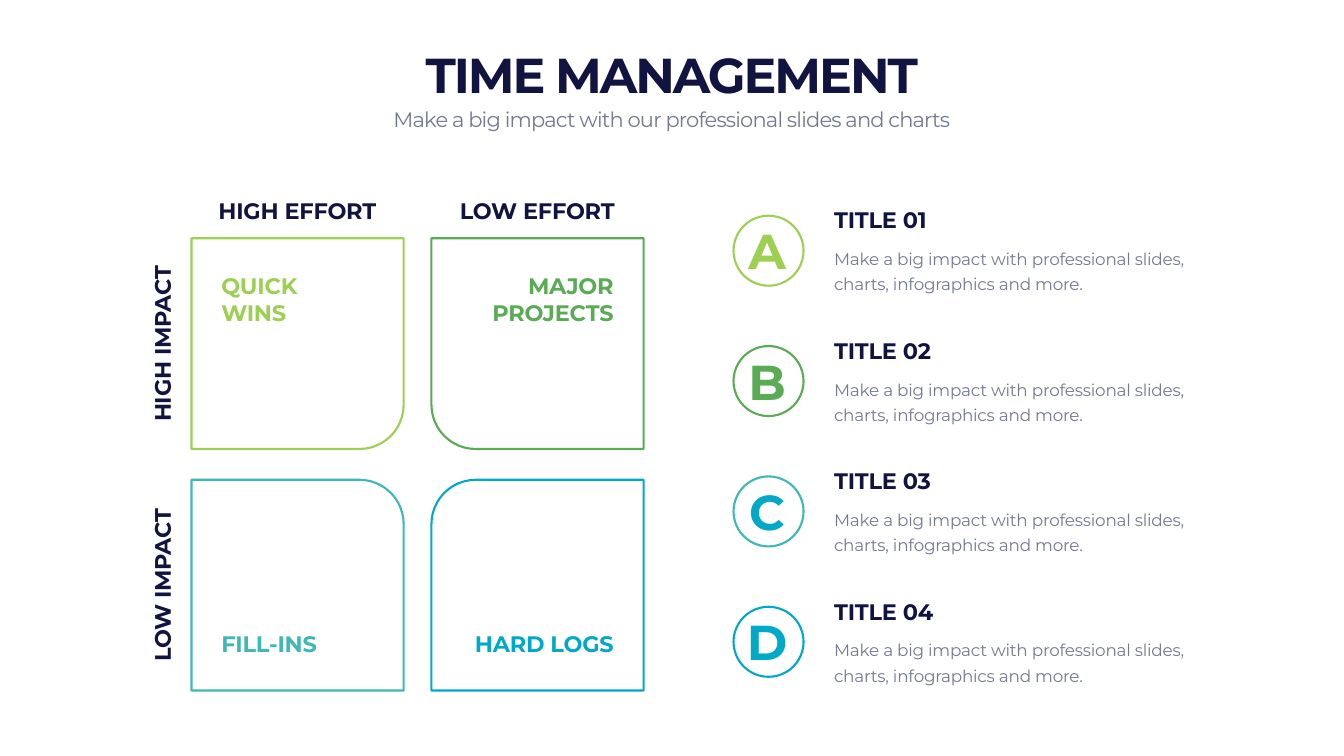
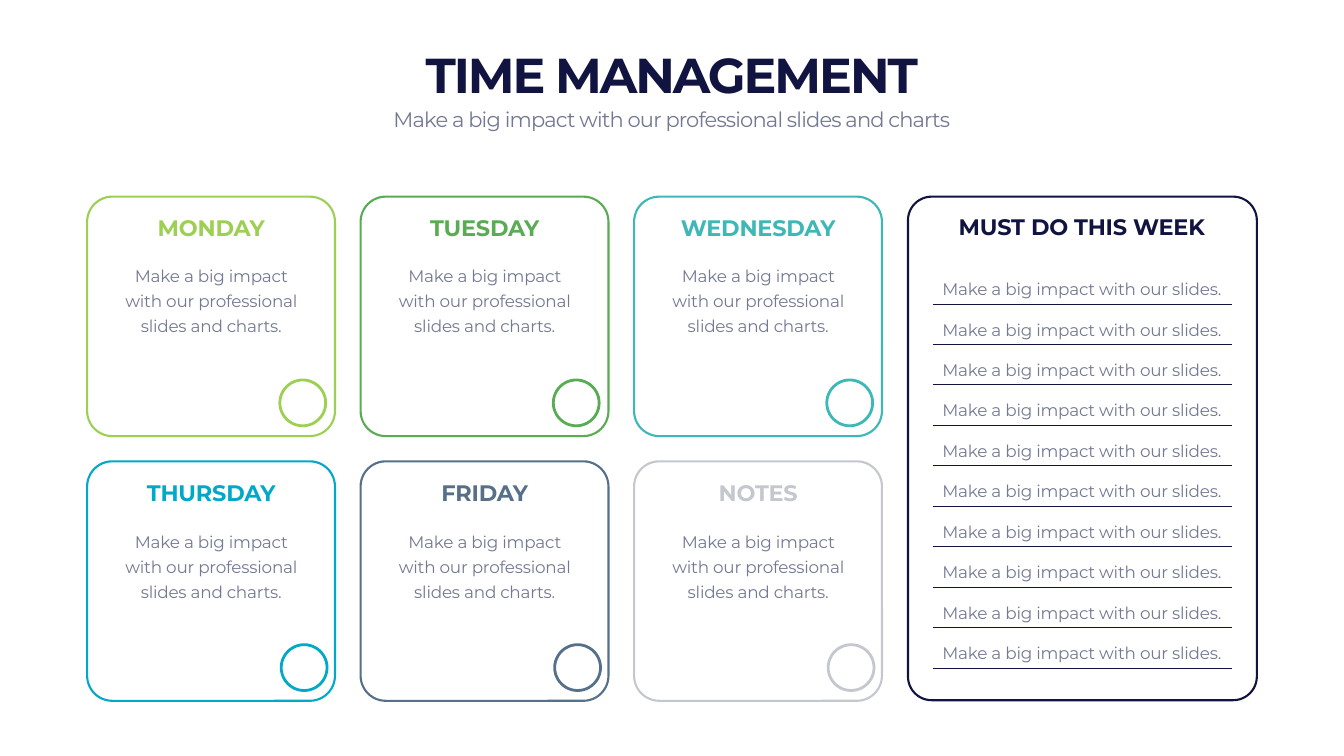
"""Build two time management slides: an effort and impact matrix and a weekly planner."""
import pptx
import pptx.dml.color
import pptx.enum.shapes
import pptx.enum.text
import pptx.util
from lxml import etree
from pptx.oxml.ns import qn

Cm = pptx.util.Cm
Pt = pptx.util.Pt
RGBColor = pptx.dml.color.RGBColor
SHAPE = pptx.enum.shapes.MSO_SHAPE
ALIGN = pptx.enum.text.PP_ALIGN
ANCHOR = pptx.enum.text.MSO_ANCHOR

NAVY = RGBColor(0x11, 0x13, 0x40)
GREY = RGBColor(0x74, 0x79, 0x93)
LIME = RGBColor(0x9D, 0xCF, 0x53)
GREEN = RGBColor(0x59, 0xAC, 0x54)
TEAL = RGBColor(0x3D, 0xB8, 0xB6)
BLUE = RGBColor(0x01, 0xA8, 0xC7)
SLATE = RGBColor(0x56, 0x70, 0x8A)
SILVER = RGBColor(0xC4, 0xC8, 0xCE)

FONT = "Montserrat"
DISPLAY = dict(size=70, bold=True, tracking=-290, leading=None)
SUBTITLE = dict(size=30, bold=False, tracking=-120, leading=None)
HEADING = dict(size=32, bold=True, tracking=-30, leading=None)
BODY = dict(size=24, bold=False, tracking=-30, leading=36)

TITLE = "TIME MANAGEMENT"
TAGLINE = "Make a big impact with our professional slides and charts"

EFFORTS = ["HIGH EFFORT", "LOW EFFORT"]
IMPACTS = ["HIGH IMPACT", "LOW IMPACT"]
QUADRANTS = [
    [(["QUICK WINS"], LIME), (["MAJOR", "PROJECTS"], GREEN)],
    [(["FILL-INS"], TEAL), (["HARD LOGS"], BLUE)],
]
LEGEND_TEXT = "Make a big impact with professional slides, charts, infographics and more."
LEGEND = [
    ("A", "TITLE 01", LIME, LIME),
    ("B", "TITLE 02", GREEN, GREEN),
    ("C", "TITLE 03", TEAL, BLUE),
    ("D", "TITLE 04", BLUE, BLUE),
]

CARDS = [
    [("MONDAY", LIME), ("TUESDAY", GREEN), ("WEDNESDAY", TEAL)],
    [("THURSDAY", BLUE), ("FRIDAY", SLATE), ("NOTES", SILVER)],
]
CARD_TEXT = "Make a big impact with our professional slides and charts."
PANEL_TITLE = "MUST DO THIS WEEK"
TASKS = ["Make a big impact with our slides."] * 10


def add_text(slide, area, lines, style, color, align=ALIGN.CENTER, anchor=ANCHOR.BOTTOM):
    box = slide.shapes.add_textbox(*map(Cm, area))
    frame = box.text_frame
    frame.word_wrap = True
    frame.auto_size = pptx.enum.text.MSO_AUTO_SIZE.SHAPE_TO_FIT_TEXT
    frame.vertical_anchor = anchor
    for index, line in enumerate(lines):
        para = frame.add_paragraph() if index else frame.paragraphs[0]
        para.alignment = align
        if style["leading"]:
            para.line_spacing = Pt(style["leading"])
        span = para.add_run()
        span.text = line
        span.font.name = FONT
        span.font.size = Pt(style["size"])
        span.font.bold = style["bold"]
        span.font.color.rgb = color
        span.font._element.set("spc", str(style["tracking"]))
    return box


def add_outline(slide, kind, area, color, width=3, corner=None):
    shape = slide.shapes.add_shape(kind, *map(Cm, area))
    shape.shadow.inherit = False
    shape.fill.background()
    shape.line.color.rgb = color
    shape.line.width = Pt(width)
    if corner:
        shape.adjustments[0] = corner
    return shape


def add_rule(slide, left, right, top):
    rule = slide.shapes.add_connector(
        pptx.enum.shapes.MSO_CONNECTOR.STRAIGHT, Cm(left), Cm(top), Cm(right), Cm(top))
    rule.line.color.rgb = NAVY
    rule.line.width = Pt(0.75)
    etree.SubElement(rule._element.spPr, qn("a:effectLst"))


def add_titled_slide(deck):
    slide = deck.slides.add_slide(deck.slide_layouts[6])
    add_text(slide, (4.22, 2.08, 59.26, 3.25), [TITLE], DISPLAY, NAVY)
    add_text(slide, (4.22, 5.23, 59.26, 1.55), [TAGLINE], SUBTITLE, GREY, anchor=ANCHOR.TOP)
    return slide


def build_matrix(slide):
    column_step, row_step = 12.09, 12.17
    label_tops = [(13.56, 3), (31.6, 1.63)]
    for row, quadrants in enumerate(QUADRANTS):
        label_top, label_height = label_tops[row]
        for column, (lines, color) in enumerate(quadrants):
            area = (9.65 + column * column_step, 12.01 + row * row_step, 10.69, 10.62)
            tile = add_outline(slide, SHAPE.ROUND_1_RECTANGLE, area, color, corner=0.21)
            frame = tile._element.spPr.get_or_add_xfrm()
            if column == 1:
                frame.set("flipH", "1")
            if row == 0:
                frame.set("flipV", "1")
            add_text(slide, (10.9 + column * 12.42, label_top, 7.85, label_height), lines,
                     HEADING, color, (ALIGN.LEFT, ALIGN.RIGHT)[column], ANCHOR.MIDDLE)
    for index, (effort, impact) in enumerate(zip(EFFORTS, IMPACTS)):
        add_text(slide, (9.14 + index * column_step, 9.78, 11.68, 1.63), [effort], HEADING, NAVY)
        side = add_text(slide, (2.31, 16.51 + index * row_step, 11.68, 1.63),
                        [impact], HEADING, NAVY)
        side.rotation = 270


def build_legend(slide):
    for index, (letter, title, ring, color) in enumerate(LEGEND):
        shift = index * 6.57
        add_outline(slide, SHAPE.OVAL, (36.96, 10.87 + shift, 3.53, 3.53), ring)
        add_text(slide, (36.96, 10.97 + shift, 3.38, 3.25), [letter], DISPLAY, color)
        add_text(slide, (41.78, 10.26 + shift, 19.38, 1.63), [title], HEADING, NAVY, ALIGN.LEFT)
        add_text(slide, (41.78, 12.17 + shift, 19.38, 2.77), [LEGEND_TEXT], BODY, GREY,
                 ALIGN.LEFT, ANCHOR.TOP)


def build_cards(slide):
    for row, cards in enumerate(CARDS):
        top = 9.91 + row * 13.34
        text_top = 10.62 + row * 13.39
        for column, (day, color) in enumerate(cards):
            left = 4.39 + column * 13.78
            add_outline(slide, SHAPE.ROUNDED_RECTANGLE, (left, top, 12.49, 12.07), color,
                        corner=0.105)
            add_outline(slide, SHAPE.OVAL, (left + 9.71 + row * 0.07, top + 9.24, 2.31, 2.31),
                        color, width=4)
            add_text(slide, (left + 1.15, text_top, 10.21, 1.63), [day], HEADING, color)
            add_text(slide, (left + 1.15, text_top + 2.39, 10.21, 3.99), [CARD_TEXT],
                     BODY, GREY, anchor=ANCHOR.TOP)


def build_task_panel(slide):
    add_outline(slide, SHAPE.ROUNDED_RECTANGLE, (45.75, 9.91, 17.58, 25.38), NAVY, corner=0.068)
    add_text(slide, (46.84, 10.59, 15.34, 1.63), [PANEL_TITLE], HEADING, NAVY)
    for index, task in enumerate(TASKS):
        shift = index * 2.04
        add_rule(slide, 46.99, 62.08, 15.31 + shift)
        add_text(slide, (46.84, 13.72 + shift, 15.34, 1.42), [task], BODY, GREY,
                 anchor=ANCHOR.MIDDLE)


deck = pptx.Presentation()
deck.slide_width = Cm(67.72)
deck.slide_height = Cm(38.1)

matrix_slide = add_titled_slide(deck)
build_matrix(matrix_slide)
build_legend(matrix_slide)

planner_slide = add_titled_slide(deck)
build_cards(planner_slide)
build_task_panel(planner_slide)

deck.save("out.pptx")
